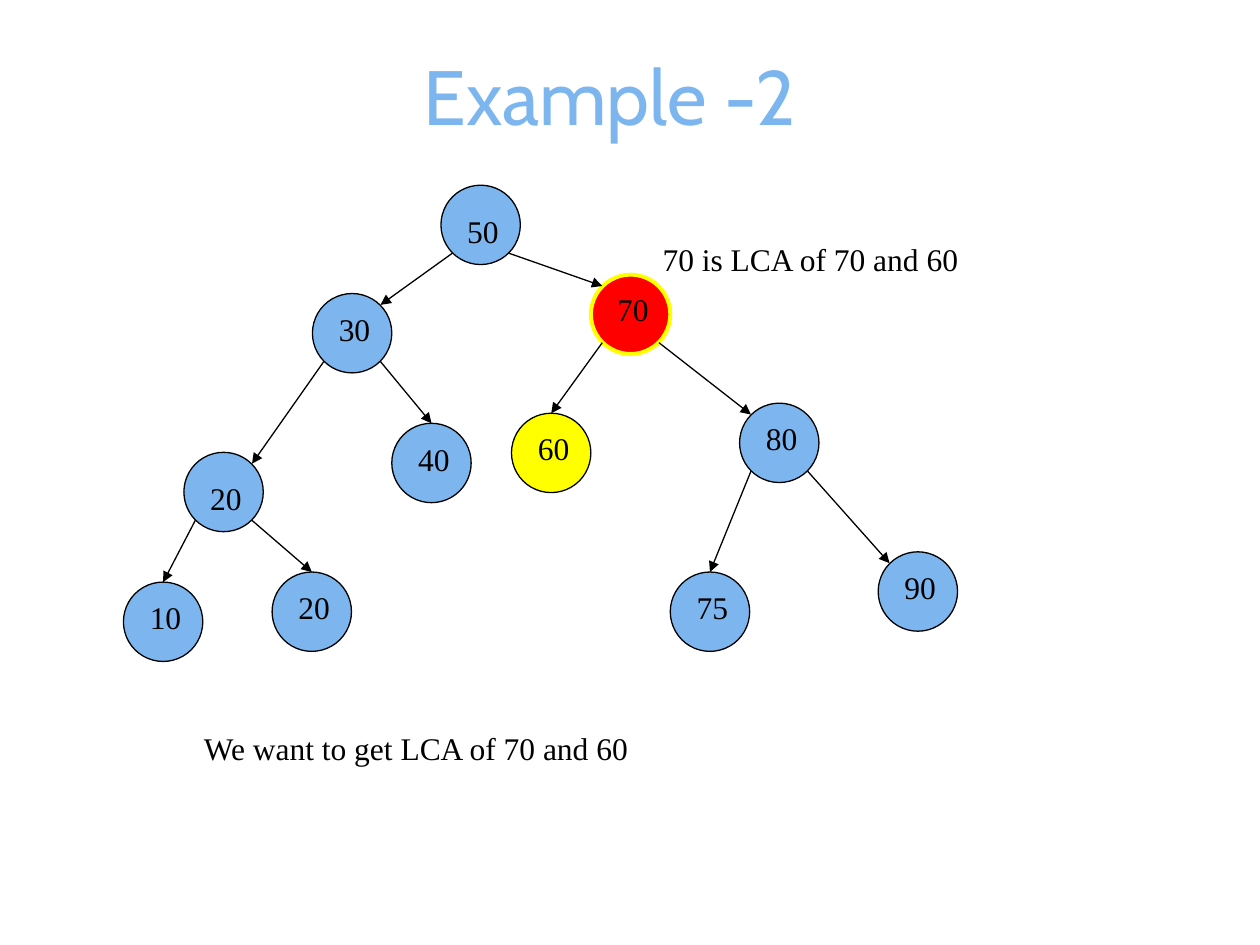
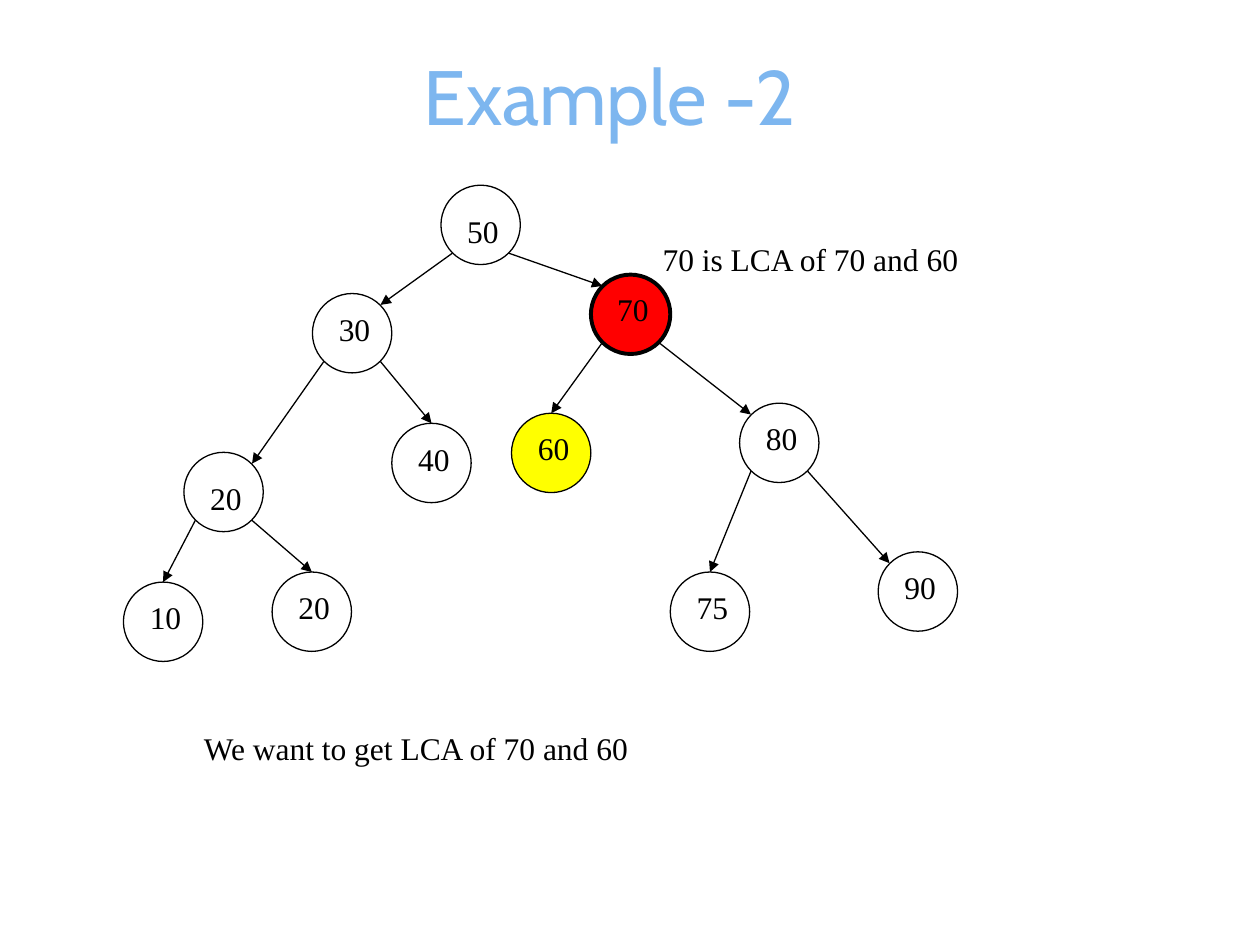
"""Build two slides that show the lowest common ancestor in a binary search tree."""
from lxml import etree
from pptx import Presentation
from pptx.dml.color import RGBColor
from pptx.enum.shapes import MSO_CONNECTOR, MSO_SHAPE
from pptx.enum.text import MSO_ANCHOR, MSO_AUTO_SIZE, PP_ALIGN
from pptx.oxml.ns import qn
from pptx.util import Inches, Pt

OVAL = MSO_SHAPE.OVAL
STRAIGHT = MSO_CONNECTOR.STRAIGHT
MIDDLE, TOP = MSO_ANCHOR.MIDDLE, MSO_ANCHOR.TOP
CENTER, LEFT = PP_ALIGN.CENTER, PP_ALIGN.LEFT
GROW, FIXED = MSO_AUTO_SIZE.SHAPE_TO_FIT_TEXT, MSO_AUTO_SIZE.NONE

BLUE, RED, YELLOW, BLACK = "7DB6EF", "FF0000", "FFFF00", "000000"
SIZE, NEAR, FAR = 0.63, 0.09, 0.54

TITLE = {
    "font": {"name": "Cabin", "size": Pt(44)}, "color": BLUE, "align": CENTER,
    "frame": {"word_wrap": True, "auto_size": FIXED, "vertical_anchor": MIDDLE},
}
NOTE = {
    "font": {"name": "Times New Roman", "size": Pt(18)}, "color": BLACK, "align": LEFT,
    "frame": {"word_wrap": True, "auto_size": GROW, "vertical_anchor": TOP},
}
LABEL = {**NOTE, "frame": {**NOTE["frame"], "word_wrap": False}}

# node: text, left, top, label drop
NODES = {
    "root": ("50", 3.5, 1.47, 0.16),
    "30": ("30", 2.48, 2.33, 0.08),
    "70": ("70", 4.69, 2.18, 0.07),
    "80": ("80", 5.87, 3.2, 0.08),
    "60": ("60", 4.06, 3.28, 0.08),
    "75": ("75", 5.32, 4.54, 0.08),
    "90": ("90", 6.97, 4.38, 0.08),
    "20": ("20", 1.46, 3.59, 0.16),
    "40": ("40", 3.11, 3.36, 0.08),
    "10": ("10", 0.98, 4.62, 0.08),
    "20 leaf": ("20", 2.16, 4.54, 0.08),
}
EDGES = [
    ("80", "90"), ("root", "70"), ("70", "80"), ("80", "75"), ("root", "30"),
    ("70", "60"), ("30", "40"), ("30", "20"), ("20", "10"), ("20", "20 leaf"),
]
TOP_JOINED = ("75", "60", "40", "10", "20 leaf")
NOTES = [
    ("We want to get LCA of 70 and 60", 1.52, 5.74, 6.47),
    ("70 is LCA of 70 and 60", 5.16, 1.86, 3.31),
]
SLIDES = [{"fill": BLUE, "ring": YELLOW}, {"fill": None, "ring": BLACK}]


def rgb(value):
    return RGBColor.from_string(value)


def add_text(s, text, x, y, w, h, style):
    tf = s.shapes.add_textbox(Inches(x), Inches(y), Inches(w), Inches(h)).text_frame
    for name, value in style["frame"].items():
        setattr(tf, name, value)
    p = tf.paragraphs[0]
    p.alignment = style["align"]
    r = p.add_run()
    r.text = text
    for name, value in style["font"].items():
        setattr(r.font, name, value)
    r.font.color.rgb = rgb(style["color"])


prs = Presentation()
prs.slide_width, prs.slide_height = Inches(10), Inches(7.5)

for look in SLIDES:
    s = prs.slides.add_slide(prs.slide_layouts[6])
    add_text(s, "Example -2", 0.59, 0.13, 8.5, 1.25, TITLE)

    circles = {}
    for key, (text, x, y, drop) in NODES.items():
        sp = s.shapes.add_shape(OVAL, Inches(x), Inches(y), Inches(SIZE), Inches(SIZE))
        sp.shadow.inherit = False
        fill = {"70": RED, "60": YELLOW}.get(key, look["fill"])
        if fill:
            sp.fill.solid()
            sp.fill.fore_color.rgb = rgb(fill)
        else:
            sp.fill.background()
        sp.line.color.rgb = rgb(look["ring"] if key == "70" else BLACK)
        sp.line.width = Pt(2.25 if key == "70" else 0.75)
        circles[key] = sp

    for parent, child in EDGES:
        px, py = NODES[parent][1:3]
        cx, cy = NODES[child][1:3]
        start, end = (NEAR, FAR) if cx < px else (FAR, NEAR)
        line = s.shapes.add_connector(
            STRAIGHT, Inches(px + start), Inches(py + FAR), Inches(cx + end), Inches(cy + NEAR))
        if child in TOP_JOINED:
            line.end_connect(circles[child], 0)
        line.line.color.rgb = rgb(BLACK)
        line.line.width = Pt(0.75)
        etree.SubElement(line.line._get_or_add_ln(), qn("a:tailEnd"), type="triangle")
        etree.SubElement(line._element.spPr, qn("a:effectLst"))

    for text, x, y, drop in NODES.values():
        add_text(s, text, x + 0.11, y + drop, 0.45, 0.4, LABEL)
    for text, x, y, w in NOTES:
        add_text(s, text, x, y, w, 0.4, NOTE)

prs.save("out.pptx")
